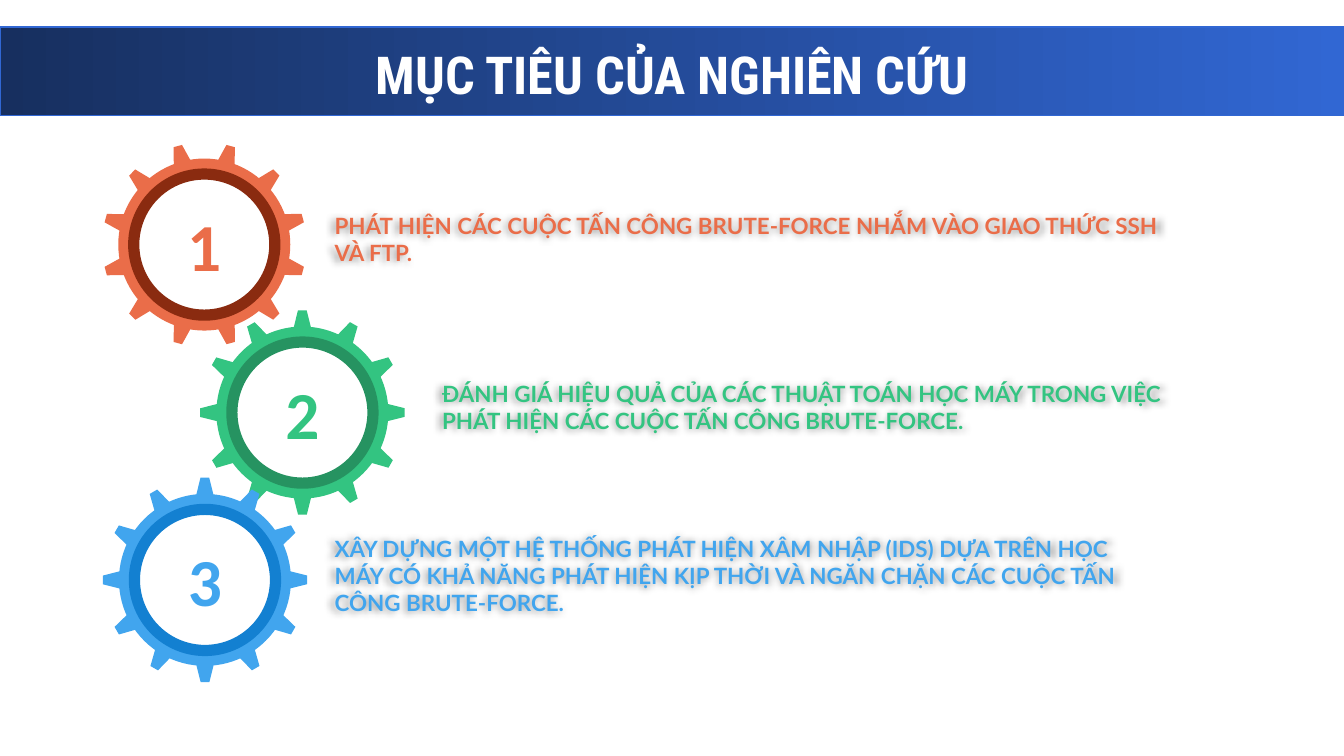
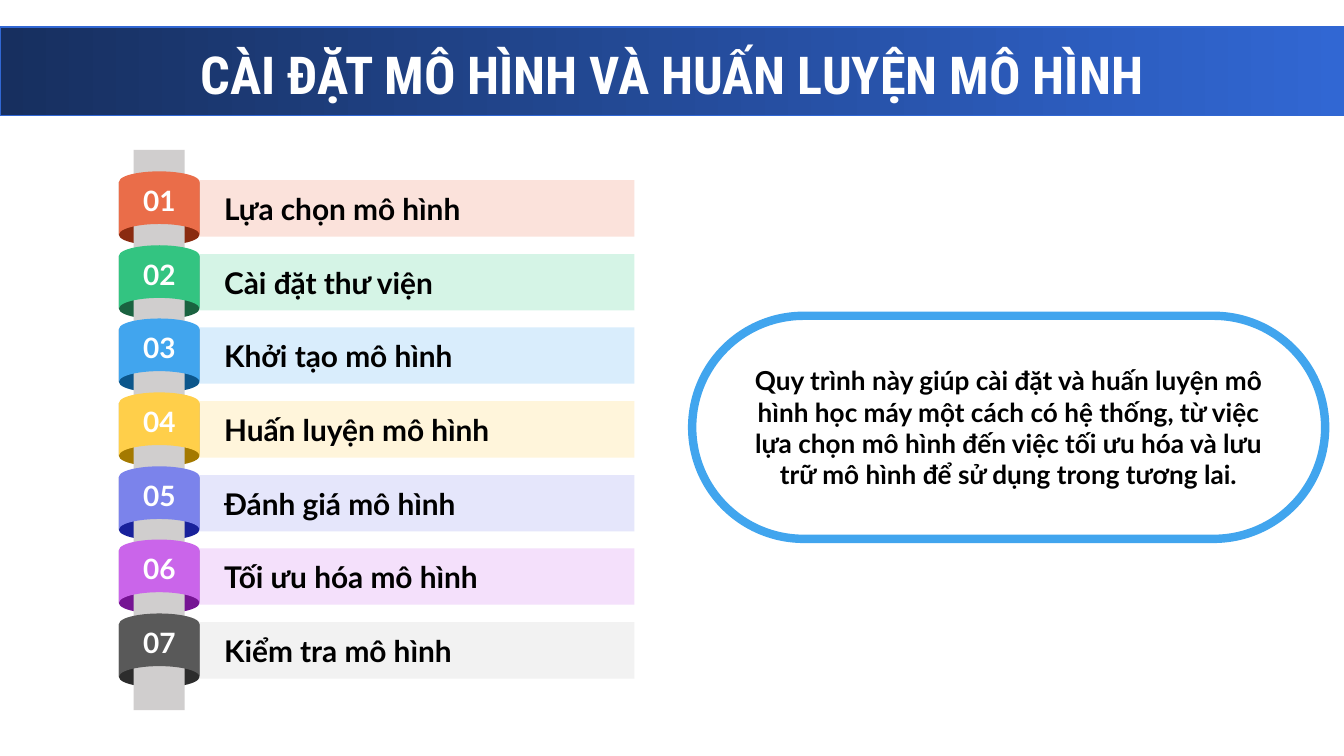
import math
from dataclasses import dataclass
from typing import Any, Optional

import lxml.etree
import pptx
import pptx.dml.color
import pptx.enum.shapes
import pptx.enum.text
import pptx.oxml.ns
import pptx.util

RGB = pptx.dml.color.RGBColor
KIND = pptx.enum.shapes.MSO_SHAPE
ALIGN = pptx.enum.text.PP_ALIGN
ANCHOR = pptx.enum.text.MSO_ANCHOR

# Scale: 200 px to the inch
SCALE = 4572
WIDE, HIGH = 2000, 1125

# Colours
WHITE = RGB(0xFF, 0xFF, 0xFF)
BLACK = RGB(0x00, 0x00, 0x00)
NAVY = RGB(0x17, 0x2F, 0x5F)
ROYAL = RGB(0x31, 0x67, 0xD3)
SILVER = RGB(0xD0, 0xCE, 0xCE)
CORAL = RGB(0xEA, 0x6D, 0x49)
RUST = RGB(0x8A, 0x2B, 0x10)
ROSE = RGB(0xFB, 0xE2, 0xDB)
GREEN = RGB(0x33, 0xC4, 0x81)
FERN = RGB(0x26, 0x93, 0x61)
PINE = RGB(0x1A, 0x62, 0x40)
MINT = RGB(0xD5, 0xF4, 0xE6)
SKY = RGB(0x41, 0xA5, 0xEE)
BLUE = RGB(0x13, 0x80, 0xD1)
OCEAN = RGB(0x0C, 0x56, 0x8B)
ICE = RGB(0xD9, 0xED, 0xFC)
GOLD = RGB(0xFF, 0xCF, 0x4A)
BRONZE = RGB(0xA4, 0x79, 0x00)
CREAM = RGB(0xFF, 0xF5, 0xDB)
IRIS = RGB(0x7B, 0x83, 0xEB)
INDIGO = RGB(0x18, 0x21, 0x9B)
LILAC = RGB(0xE5, 0xE6, 0xFB)
ORCHID = RGB(0xCA, 0x65, 0xEA)
PLUM = RGB(0x75, 0x14, 0x93)
BLUSH = RGB(0xF4, 0xE0, 0xFB)
GREY = RGB(0x59, 0x59, 0x59)
COAL = RGB(0x2C, 0x2C, 0x2C)
MIST = RGB(0xF2, 0xF2, 0xF2)


@dataclass(frozen=True)
class Box:
    left: int
    top: int
    width: int
    height: int


@dataclass(frozen=True)
class Font:
    name: str
    size: int
    color: RGB


@dataclass(frozen=True)
class Goal:
    mark: str
    x: int
    y: int
    turn: int
    color: RGB
    ring: RGB
    note: Box
    text: str


@dataclass(frozen=True)
class Step:
    text: str
    color: RGB
    dark: RGB
    pale: RGB


GOALS = [
    Goal("1", 304, 364, 15, CORAL, RUST, Box(492, 246, 1402, 222),
         "PHÁT HIỆN CÁC CUỘC TẤN CÔNG BRUTE-FORCE NHẮM VÀO GIAO THỨC SSH VÀ FTP."),
    Goal("2", 450, 614, 0, GREEN, FERN, Box(652, 496, 1278, 222),
         "ĐÁNH GIÁ HIỆU QUẢ CỦA CÁC THUẬT TOÁN HỌC MÁY TRONG VIỆC "
         "PHÁT HIỆN CÁC CUỘC TẤN CÔNG BRUTE-FORCE."),
    Goal("3", 305, 863, 0, SKY, BLUE, Box(492, 746, 1402, 222),
         "XÂY DỰNG MỘT HỆ THỐNG PHÁT HIỆN XÂM NHẬP (IDS) DỰA TRÊN HỌC MÁY "
         "CÓ KHẢ NĂNG PHÁT HIỆN KỊP THỜI VÀ NGĂN CHẶN CÁC CUỘC TẤN CÔNG "
         "BRUTE-FORCE."),
]

STEPS = [
    Step("Lựa chọn mô hình", CORAL, RUST, ROSE),
    Step("Cài đặt thư viện", GREEN, PINE, MINT),
    Step("Khởi tạo mô hình", SKY, OCEAN, ICE),
    Step("Huấn luyện mô hình", GOLD, BRONZE, CREAM),
    Step("Đánh giá mô hình", IRIS, INDIGO, LILAC),
    Step("Tối ưu hóa mô hình", ORCHID, PLUM, BLUSH),
    Step("Kiểm tra mô hình", GREY, COAL, MIST),
]


# Shared helpers
def px(size: int) -> pptx.util.Emu:
    return pptx.util.Emu(size * SCALE)


def place(box: Box) -> tuple:
    return px(box.left), px(box.top), px(box.width), px(box.height)


def center(x: int, y: int, size: int) -> Box:
    return Box(x - size // 2, y - size // 2, size, size)


def draw(host: Any, kind: Any, box: Box, fill: Optional[RGB] = None,
         line: Optional[RGB] = None, weight: float = 0, turn: int = 0) -> Any:
    shape = host.shapes.add_shape(kind, *place(box))
    shape.shadow.inherit = False
    shape.rotation = turn
    if fill is None:
        shape.fill.background()
    else:
        shape.fill.solid()
        shape.fill.fore_color.rgb = fill
    if line is None:
        shape.line.fill.background()
    else:
        shape.line.color.rgb = line
        shape.line.width = pptx.util.Pt(weight)
    return shape


def write(shape: Any, text: str, font: Font, align: Any = ALIGN.CENTER,
          anchor: Any = ANCHOR.MIDDLE, inset: tuple = (20, 10, 20, 10)) -> Any:
    frame = shape.text_frame
    frame.word_wrap = True
    frame.auto_size = pptx.enum.text.MSO_AUTO_SIZE.NONE
    frame.vertical_anchor = anchor
    (frame.margin_left, frame.margin_top,
     frame.margin_right, frame.margin_bottom) = map(px, inset)
    para = frame.paragraphs[0]
    para.alignment = align
    run = para.add_run()
    run.text = text
    run.font.name = font.name
    run.font.size = pptx.util.Pt(font.size)
    run.font.bold = True
    run.font.color.rgb = font.color
    return para


def start(deck: Any, text: str) -> Any:
    """Add a slide with the title on its blue band."""
    slide = deck.slides.add_slide(deck.slide_layouts[5])
    band = draw(slide, KIND.RECTANGLE, Box(0, 40, WIDE, 132), ROYAL, ROYAL, 0.75)
    band.fill.gradient()
    band.fill.gradient_angle = 0
    for stop, color, spot in zip(band.fill.gradient_stops, (NAVY, ROYAL), (0, 1)):
        stop.color.rgb = color
        stop.position = spot
    slide.shapes._spTree.insert(2, band._element)
    title = slide.shapes.title
    title.left, title.top, title.width, title.height = place(Box(100, 68, 1800, 82))
    write(title, text, Font("Roboto Condensed", 28, WHITE), inset=(20, 20, 20, 20))
    return slide


# Goals: gears with notes
def shade(shape: Any) -> None:
    tag = pptx.oxml.ns.qn
    effect = lxml.etree.SubElement(shape._element.spPr, tag("a:effectLst"))
    cast = lxml.etree.SubElement(effect, tag("a:outerShdw"), blurRad="50800",
                                 dist="0", sx="101000", sy="101000",
                                 algn="ctr", rotWithShape="0")
    color = lxml.etree.SubElement(cast, tag("a:srgbClr"), val="000000")
    lxml.etree.SubElement(color, tag("a:alpha"), val="40000")


def gear(slide: Any, goal: Goal) -> None:
    group = slide.shapes.add_group_shape()
    rim = draw(group, KIND.DONUT, center(goal.x, goal.y, 256), goal.color,
               turn=goal.turn)
    rim.adjustments[0] = 0.071
    for turn in range(goal.turn, goal.turn + 360, 30):
        angle = math.radians(turn)
        x = round(goal.x + 139 * math.sin(angle))
        y = round(goal.y - 139 * math.cos(angle))
        draw(group, KIND.TRAPEZOID, center(x, y, 26), goal.color, turn=turn)
    hub = draw(group, KIND.OVAL, center(goal.x, goal.y, 210), WHITE, goal.ring, 6)
    write(hub, goal.mark, Font("Calibri", 36, goal.color), inset=(14, 8, 14, 8))


def goals(deck: Any) -> None:
    slide = start(deck, "MỤC TIÊU CỦA NGHIÊN CỨU")
    for goal in GOALS:
        gear(slide, goal)
        note = slide.shapes.add_textbox(*place(goal.note))
        write(note, goal.text, Font("Lato", 12, goal.color), ALIGN.LEFT,
              inset=(6, 6, 166, 8))
        shade(note)


# Steps: ribbons rolled round a spine
def roll(slide: Any, top: int, color: RGB) -> Any:
    return draw(slide, KIND.FLOWCHART_STORED_DATA, Box(190, top, 94, 120),
                color, turn=90)


def steps(deck: Any) -> None:
    slide = start(deck, "CÀI ĐẶT MÔ HÌNH VÀ HUẤN LUYỆN MÔ HÌNH")
    tops = [268 + round(i * 658 / 6) for i in range(len(STEPS))]
    for step, top in zip(STEPS, tops):
        bar = draw(slide, KIND.RECTANGLE, Box(284, top, 660, 84), step.pale)
        para = write(bar, step.text, Font("Lato", 16, BLACK), ALIGN.LEFT)
        para._p.get_or_add_pPr().set("marL", str(px(30)))
        fold = roll(slide, top - 10, step.dark)
        fold._element.spPr.xfrm.set("flipH", "1")
    draw(slide, KIND.RECTANGLE, Box(199, 223, 76, 834), SILVER)
    for i, (step, top) in enumerate(zip(STEPS, tops), 1):
        tab = roll(slide, top - 26, step.color)
        write(tab, f"{i:02}", Font("Lato", 15, WHITE), anchor=ANCHOR.BOTTOM)
        tab.text_frame._txBody.bodyPr.set("vert", "vert270")
    pill = draw(slide, KIND.ROUNDED_RECTANGLE, Box(1030, 470, 942, 332),
                line=SKY, weight=4.5)
    pill.adjustments[0] = 0.5
    write(pill, "Quy trình này giúp cài đặt và huấn luyện mô hình học máy một cách "
          "có hệ thống, từ việc lựa chọn mô hình đến việc tối ưu hóa và lưu trữ "
          "mô hình để sử dụng trong tương lai.", Font("Lato", 14, BLACK))


def main() -> None:
    deck = pptx.Presentation()
    deck.slide_width, deck.slide_height = px(WIDE), px(HIGH)
    goals(deck)
    steps(deck)
    deck.save("out.pptx")


if __name__ == "__main__":
    main()
